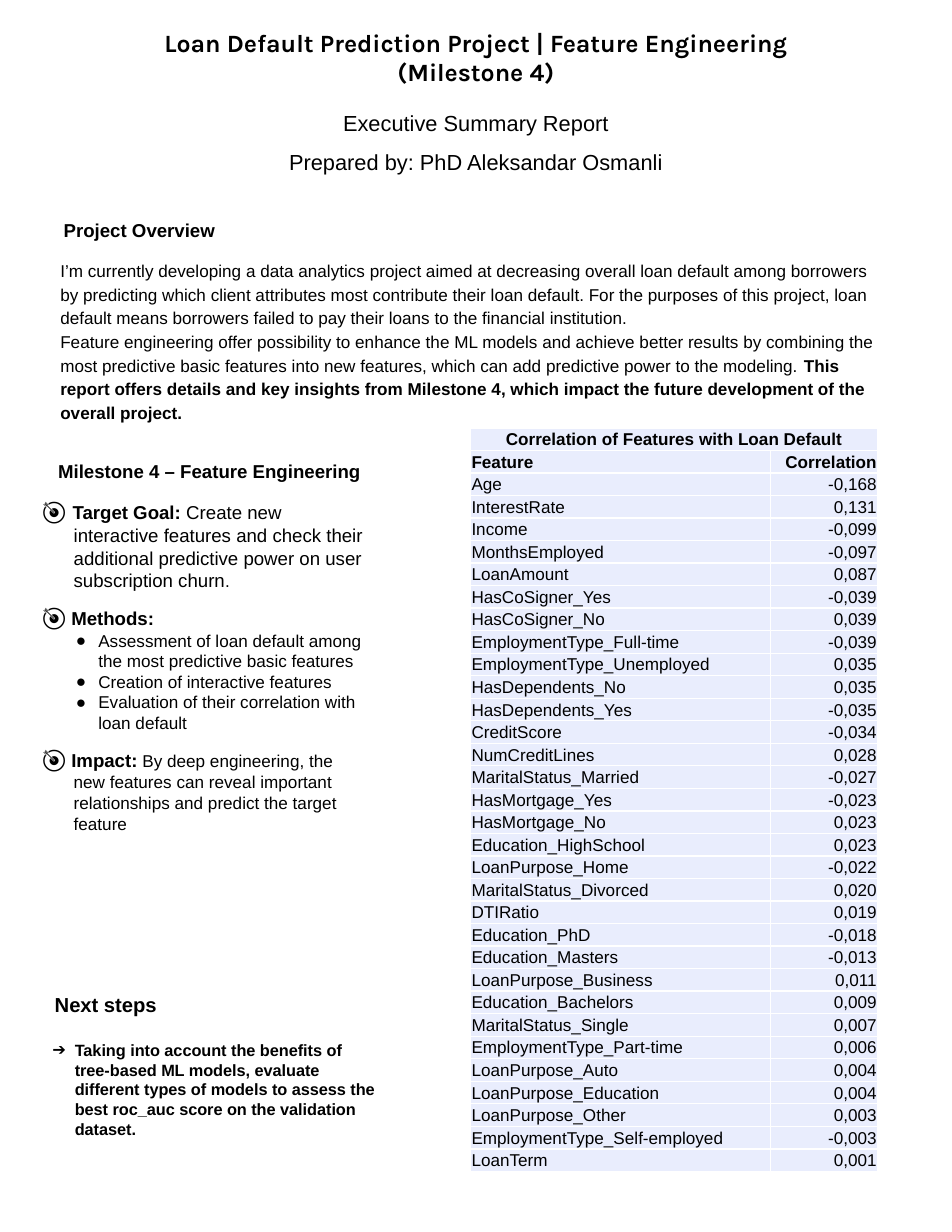
from copy import deepcopy

from lxml import etree
from pptx import Presentation
from pptx.dml.color import RGBColor
from pptx.enum import text
from pptx.oxml import ns
from pptx.util import Pt

BLACK, WHITE, LAVENDER = "000000", "FFFFFF", "E9EDFD"


def rgb(value):
    return RGBColor.from_string(value)


def add_text(box, paragraphs, align=None, line=None, grow=True):
    """Each paragraph is (runs, options); each run is (text, size, bold)."""
    tf = slide.shapes.add_textbox(*[Pt(v) for v in box]).text_frame
    tf.word_wrap = True
    if grow:
        tf.auto_size = text.MSO_AUTO_SIZE.SHAPE_TO_FIT_TEXT
    tf.margin_left = tf.margin_right = tf.margin_top = tf.margin_bottom = Pt(7.2)
    for i, (runs, options) in enumerate(paragraphs):
        p = tf.add_paragraph() if i else tf.paragraphs[0]
        p.alignment, p.line_spacing = align, line
        p.space_before = Pt(options.get("before", 0))
        p.space_after = Pt(options.get("after", 0))
        pPr = p._p.get_or_add_pPr()
        if "indent" in options:
            left, first = options["indent"]
            pPr.set("marL", str(Pt(left)))
            pPr.set("indent", str(Pt(first)))
        if "bullet" in options:
            clr = etree.SubElement(pPr, ns.qn("a:buClr"))
            etree.SubElement(clr, ns.qn("a:srgbClr"), val=BLACK)
            etree.SubElement(pPr, ns.qn("a:buFont"), typeface="Arial")
            etree.SubElement(pPr, ns.qn("a:buChar"), char=options["bullet"])
        for words, size, bold in runs:
            r = p.add_run()
            r.text = words
            r.font.name, r.font.size, r.font.bold = "Arial", Pt(size), bold
            r.font.color.rgb = rgb(BLACK)


prs = Presentation()
prs.slide_width, prs.slide_height = Pt(612), Pt(792)
slide = prs.slides.add_slide(prs.slide_layouts[5])

# Title
title = slide.shapes.title
title.left, title.top, title.width, title.height = Pt(0), Pt(12.24), Pt(612), Pt(51)
tf = title.text_frame
tf.text = "Loan Default Prediction Project | Feature Engineering\v(Milestone 4)"
tf.word_wrap = True
tf.auto_size = text.MSO_AUTO_SIZE.NONE
tf.vertical_anchor = text.MSO_ANCHOR.TOP
tf.margin_left = tf.margin_right = tf.margin_top = tf.margin_bottom = Pt(7.2)
p = tf.paragraphs[0]
p.alignment, p.line_spacing = text.PP_ALIGN.CENTER, 0.95
for r in p.runs:
    r.font.name, r.font.size, r.font.bold = "Karla", Pt(16), True
    r.font.color.rgb = rgb(BLACK)
p._p.find(ns.qn("a:br")).insert(0, deepcopy(p.runs[0]._r.rPr))

# Subtitle
add_text((0, 54.72, 612, 65.5), [
    ([("Executive Summary Report", 14, False)], {}),
    ([("Prepared by: PhD Aleksandar Osmanli", 14, False)], {}),
], align=text.PP_ALIGN.CENTER, line=1.5)

# Section headings
add_text((33.84, 133.2, 254, 28.8), [([("Project Overview", 12, True)], {})])
add_text((30.24, 288.72, 254, 28.8),
         [([("Milestone 4 – Feature Engineering", 12, True)], {})])
add_text((28.08, 633.6, 291, 22.3), [([("Next steps", 13, True)], {})],
         line=0.85, grow=False)

# Project overview
add_text((31.68, 158.4, 540, 121.7), [
    ([("I’m currently developing a data analytics project aimed at decreasing overall "
       "loan default among borrowers by predicting which client attributes most "
       "contribute their loan default. For the purposes of this project, loan default "
       "means borrowers failed to pay their loans to the financial institution.",
       11, False)], {}),
    ([("Feature engineering offer possibility to enhance the ML models and achieve "
       "better results by combining the most predictive basic features into new "
       "features, which can add predictive power to the modeling. ", 11, False),
      ("This report offers details and key insights from Milestone 4, which impact "
       "the future development of the overall project.", 11, True)], {}),
], line=1.15)

# Milestone details
target = {"indent": (20.16, -24.48)}
dot = {"indent": (36, -14.4), "bullet": "●"}
add_text((20.16, 311.76, 221, 238.3), [
    ([("🎯 ", 15, False), ("Target Goal:", 12, True),
      (" Create new interactive features and check their additional predictive power "
       "on user subscription churn", 12, False), (".", 11, False)], target),
    ([("🎯", 15, False), (" ", 12, False), ("Methods:", 12, True)],
     {**target, "before": 7}),
    ([("Assessment of loan default among the most predictive basic features",
       11, False)], dot),
    ([("Creation of interactive features", 11, False)], dot),
    ([("Evaluation of their correlation with loan default", 11, False)], dot),
    ([("🎯", 15, False), (" ", 12, False), ("Impact:", 12, True),
      (" By deep engineering, the new features can reveal important relationships "
       "and predict the target feature", 11, False)],
     {**target, "before": 7, "after": 5}),
])

# Next steps
add_text((18.72, 661.68, 233.3, 78.5), [
    ([("Taking into account the benefits of tree-based ML models, evaluate different "
       "types of models to assess the best roc_auc score on the validation dataset.",
       10.5, True)], {"indent": (22.32, -14.4), "bullet": "➔"}),
])

# Correlation table
rows = [
    ("Correlation of Features with Loan Default", ""),
    ("Feature", "Correlation"),
    ("Age", "-0,168"),
    ("InterestRate", "0,131"),
    ("Income", "-0,099"),
    ("MonthsEmployed", "-0,097"),
    ("LoanAmount", "0,087"),
    ("HasCoSigner_Yes", "-0,039"),
    ("HasCoSigner_No", "0,039"),
    ("EmploymentType_Full-time", "-0,039"),
    ("EmploymentType_Unemployed", "0,035"),
    ("HasDependents_No", "0,035"),
    ("HasDependents_Yes", "-0,035"),
    ("CreditScore", "-0,034"),
    ("NumCreditLines", "0,028"),
    ("MaritalStatus_Married", "-0,027"),
    ("HasMortgage_Yes", "-0,023"),
    ("HasMortgage_No", "0,023"),
    ("Education_HighSchool", "0,023"),
    ("LoanPurpose_Home", "-0,022"),
    ("MaritalStatus_Divorced", "0,020"),
    ("DTIRatio", "0,019"),
    ("Education_PhD", "-0,018"),
    ("Education_Masters", "-0,013"),
    ("LoanPurpose_Business", "0,011"),
    ("Education_Bachelors", "0,009"),
    ("MaritalStatus_Single", "0,007"),
    ("EmploymentType_Part-time", "0,006"),
    ("LoanPurpose_Auto", "0,004"),
    ("LoanPurpose_Education", "0,004"),
    ("LoanPurpose_Other", "0,003"),
    ("EmploymentType_Self-employed", "-0,003"),
    ("LoanTerm", "0,001"),
]
row_height = 14.5
table = slide.shapes.add_table(len(rows), 2, Pt(302.4), Pt(275.04), Pt(262),
                               Pt(row_height * len(rows))).table
table.first_row = table.horz_banding = False
table.columns[0].width, table.columns[1].width = Pt(193), Pt(69)
table.cell(0, 0).merge(table.cell(0, 1))
for i, values in enumerate(rows):
    table.rows[i].height = Pt(row_height)
    for j, value in enumerate(values):
        cell = table.cell(i, j)
        cell.margin_left = cell.margin_right = cell.margin_top = Pt(0.72)
        cell.margin_bottom = Pt(0)
        cell.vertical_anchor = text.MSO_ANCHOR.MIDDLE
        for side in ("lnL", "lnR", "lnT", "lnB"):
            ln = etree.SubElement(cell._tc.get_or_add_tcPr(), ns.qn("a:" + side),
                                  w=str(Pt(1)))
            fill = etree.SubElement(ln, ns.qn("a:solidFill"))
            etree.SubElement(fill, ns.qn("a:srgbClr"), val=WHITE)
        cell.fill.solid()
        cell.fill.fore_color.rgb = rgb(LAVENDER)
        if cell.is_spanned:
            continue
        p = cell.text_frame.paragraphs[0]
        p.text = value
        p.alignment = (text.PP_ALIGN.CENTER if i == 0 else
                       text.PP_ALIGN.RIGHT if j else text.PP_ALIGN.LEFT)
        r = p.runs[0]
        r.font.name, r.font.size, r.font.bold = "Arial", Pt(11), i < 2
        r.font.color.rgb = rgb(BLACK)

prs.save("out.pptx")
